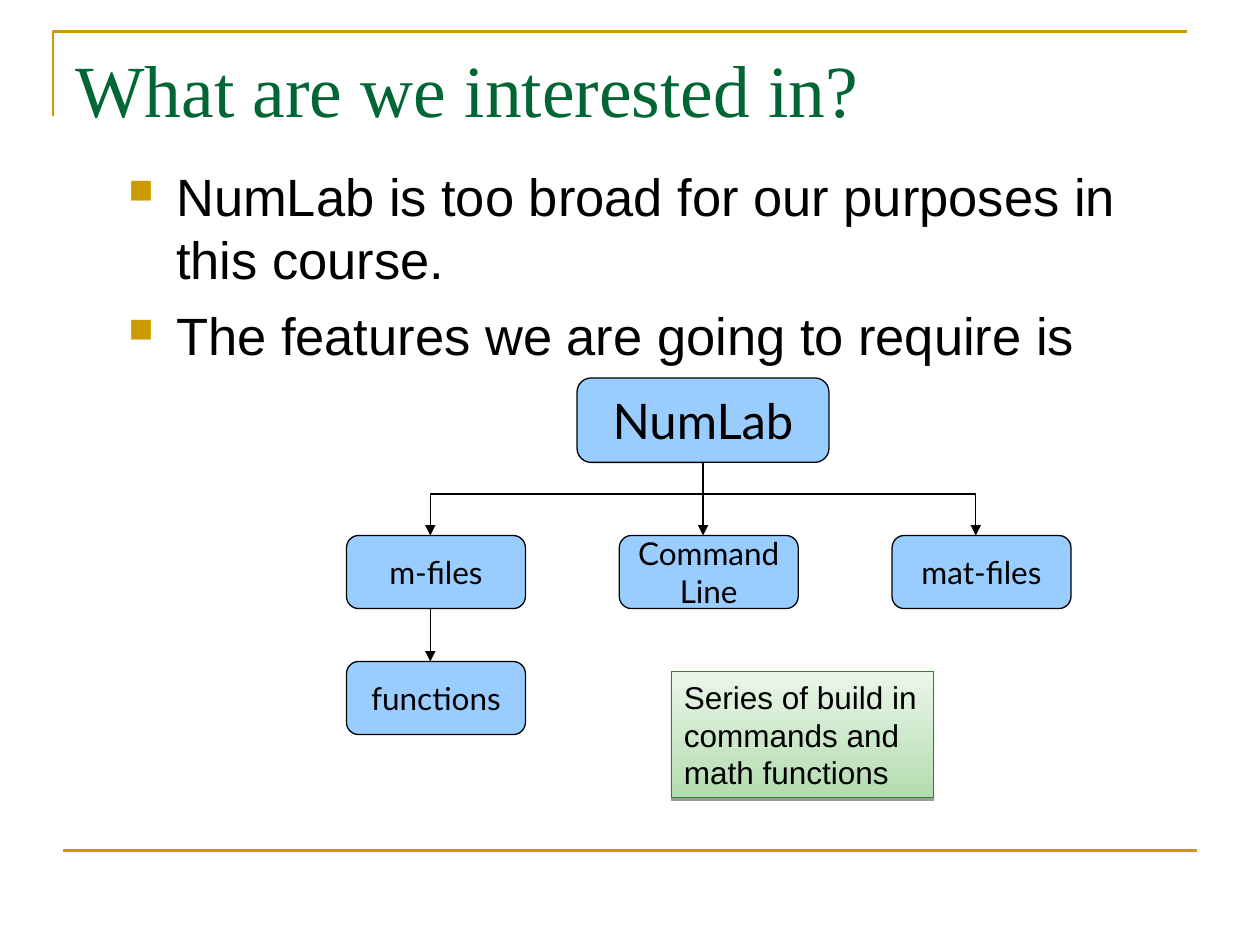
from dataclasses import dataclass

from lxml import etree
from pptx import Presentation
from pptx.dml.color import RGBColor
from pptx.enum.shapes import MSO_CONNECTOR, MSO_SHAPE
from pptx.enum.text import MSO_ANCHOR, PP_ALIGN
from pptx.oxml.ns import qn
from pptx.util import Inches, Pt

ROUND, RECT = MSO_SHAPE.ROUNDED_RECTANGLE, MSO_SHAPE.RECTANGLE
LINE = MSO_CONNECTOR.STRAIGHT
MID, TOP = MSO_ANCHOR.MIDDLE, MSO_ANCHOR.TOP
CENTER, LEFT = PP_ALIGN.CENTER, PP_ALIGN.LEFT

HUES = {"gold": "CC9900", "title": "006633", "ink": "000000", "node": "99CCFF",
        "pale": "EBF6EA", "leaf": "B3DCAF", "edge": "38802C"}


@dataclass
class Node:
    lines: list[str]
    x: float
    y: float
    w: float = 1.42
    h: float = 0.58
    size: int = 18


@dataclass
class Link:
    start: tuple[float, float]
    end: tuple[float, float]
    arrow: bool = False
    hue: str = "ink"
    width: float = 0.75


def color(name: str) -> RGBColor:
    return RGBColor.from_string(HUES[name])


def child(parent, tag: str, **attrs: str):
    return etree.SubElement(parent, qn(tag), attrs)


def write(par, text: str, size: float, face: str, hue: str = "ink") -> None:
    run = par.add_run()
    run.text = text
    run.font.size = Pt(size)
    run.font.name = face
    run.font.color.rgb = color(hue)


def add_text(slide, x: float, y: float, w: float, h: float):
    frame = slide.shapes.add_textbox(Inches(x), Inches(y), Inches(w), Inches(h)).text_frame
    frame.word_wrap = True
    return frame


def add_bullet(par) -> None:
    props = par._p.get_or_add_pPr()
    props.set("marL", str(Inches(0.38)))
    props.set("indent", str(-Inches(0.38)))
    child(child(props, "a:buClr"), "a:srgbClr", val=HUES["gold"])
    child(props, "a:buSzPct", val="65000")
    child(props, "a:buChar", char="■")


def add_node(slide, node: Node):
    box = slide.shapes.add_shape(ROUND, Inches(node.x), Inches(node.y),
                                 Inches(node.w), Inches(node.h))
    box.adjustments[0] = 0.167
    box.shadow.inherit = False
    box.fill.solid()
    box.fill.fore_color.rgb = color("node")
    box.line.color.rgb = color("ink")
    box.line.width = Pt(0.75)
    frame = box.text_frame
    frame.word_wrap = False
    frame.vertical_anchor = MID
    for i, text in enumerate(node.lines):
        par = frame.add_paragraph() if i else frame.paragraphs[0]
        par.alignment = CENTER
        write(par, text, node.size, "Lato")
    return box


def add_link(slide, link: Link):
    ends = [Inches(v) for v in (*link.start, *link.end)]
    line = slide.shapes.add_connector(LINE, *ends)
    line.line.color.rgb = color(link.hue)
    line.line.width = Pt(link.width)
    props = line._element.spPr
    if link.arrow:
        child(props.find(qn("a:ln")), "a:tailEnd", type="triangle")
    child(props, "a:effectLst")
    return line


def add_frame(slide) -> None:
    pen = slide.shapes.build_freeform(Inches(0.42), Inches(0.92))
    pen.add_line_segments([(Inches(0.42), Inches(0.25)), (Inches(9.42), Inches(0.25))],
                          close=False)
    edge = pen.convert_to_shape()
    edge.shadow.inherit = False
    edge.fill.background()
    edge.line.color.rgb = color("gold")
    edge.line.width = Pt(1.5)
    add_link(slide, Link((0.5, 6.75), (9.5, 6.75), hue="gold", width=1.5))


def add_note(slide, text: str) -> None:
    note = slide.shapes.add_shape(RECT, Inches(5.33), Inches(5.33), Inches(2.08), Inches(1))
    note.fill.gradient()
    note.fill.gradient_angle = 90
    for stop, hue in zip(note.fill.gradient_stops, ("leaf", "pale")):
        stop.color.rgb = color(hue)
    note.line.color.rgb = color("edge")
    note.line.width = Pt(0.75)
    # Soft shadow straight below
    note.shadow.inherit = False
    glow = child(note._element.spPr.find(qn("a:effectLst")), "a:outerShdw",
                 dist=str(Pt(1.6)), dir="5400000", rotWithShape="0")
    child(child(glow, "a:srgbClr", val=HUES["ink"]), "a:alpha", val="38000")
    frame = note.text_frame
    frame.word_wrap = True
    frame.vertical_anchor = TOP
    par = frame.paragraphs[0]
    par.alignment = LEFT
    write(par, text, 18, "Arial")


def main() -> None:
    deck = Presentation()
    deck.slide_width, deck.slide_height = Inches(10), Inches(7.5)
    slide = deck.slides.add_slide(deck.slide_layouts[6])
    add_frame(slide)

    # Title and bullets
    title = add_text(slide, 0.5, 0.3, 9, 1.25)
    write(title.paragraphs[0], "What are we interested in?", 42, "Times New Roman", "title")
    body = add_text(slide, 0.92, 1.25, 8.5, 5)
    points = ["NumLab is too broad for our purposes in this course.",
              "The features we are going to require is"]
    for i, text in enumerate(points):
        par = body.add_paragraph() if i else body.paragraphs[0]
        par.space_before = Pt(7.5 if i else 0)
        add_bullet(par)
        write(par, text, 30, "Arial")

    # Tree nodes
    root = add_node(slide, Node(["NumLab"], 4.58, 3, 2, 0.67, 28))
    left, step, row = 2.75, 2.165, 4.25
    for i, lines in enumerate([["m-files"], ["Command", "Line"], ["mat-files"]]):
        add_node(slide, Node(lines, left + i * step, row))
    add_node(slide, Node(["functions"], left, row + 1))

    # Tree links
    mid, bar = 5.58, 3.92
    trunk = add_link(slide, Link((mid, 3.67), (mid, row), True))
    trunk.begin_connect(root, 2)
    for x in (mid - step, mid + step):
        add_link(slide, Link((mid, bar), (x, bar)))
        add_link(slide, Link((x, bar), (x, row), True))
    add_link(slide, Link((mid - step, row + 0.58), (mid - step, row + 1), True))

    add_note(slide, "Series of build in commands and math functions")
    deck.save("out.pptx")


if __name__ == "__main__":
    main()
